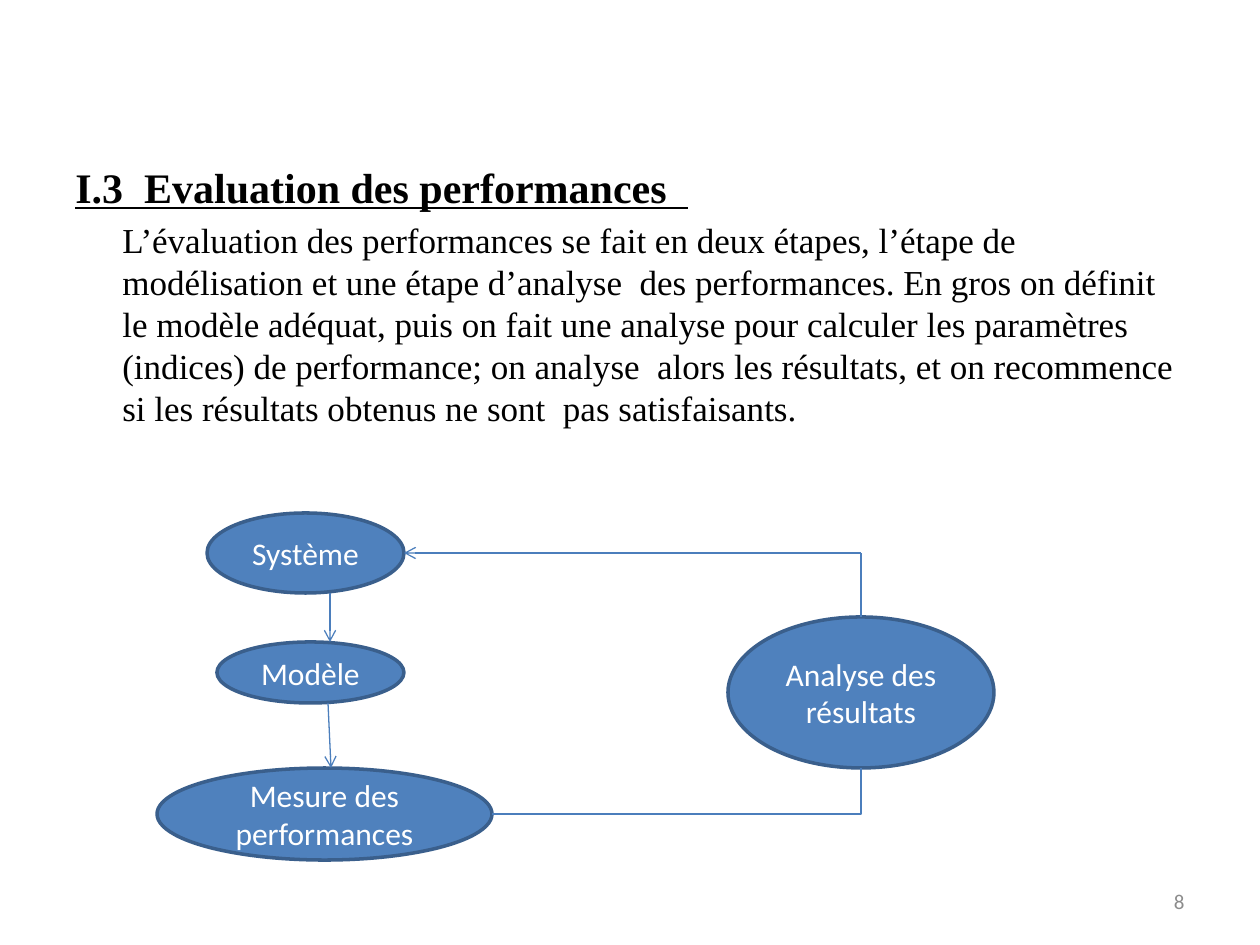
import pptx
import pptx.util
import pptx.dml.color
import pptx.oxml
import pptx.oxml.ns
import pptx.enum.shapes
import pptx.enum.text

PX = 914400 / 126
SHAPE = pptx.enum.shapes.MSO_SHAPE
LINK = pptx.enum.shapes.MSO_CONNECTOR
ALIGN = pptx.enum.text.PP_ALIGN
ANCHOR = pptx.enum.text.MSO_ANCHOR

SERIF, SANS = "Times New Roman", "Calibri"
FILL, EDGE, LINE = "4F81BD", "3A5F8C", "4B7EBC"

HEAD = "I.3  Evaluation des performances  "
BODY = (
    "L’évaluation des performances se fait en deux étapes, l’étape de "
    "modélisation et une étape d’analyse  des performances. En gros on définit "
    "le modèle adéquat, puis on fait une analyse pour calculer les paramètres "
    "(indices) de performance; on analyse  alors les résultats, et on recommence "
    "si les résultats obtenus ne sont  pas satisfaisants."
)

# text, left, top, width, height
STEPS = [
    ("Système", 207, 513, 197, 80),
    ("Modèle", 217, 642, 187, 61),
    ("Mesure des performances", 157, 768, 335, 92),
    ("Analyse des résultats", 728, 617, 266, 151),
]

# kind, from, to, arrow at the end
LINKS = [
    ("line", (330, 593), (330, 642), True),
    ("line", (328, 703), (331, 768), True),
    ("bentConnector2", (492, 814), (861, 768), False),
    ("line", (861, 617), (861, 553), False),
    ("line", (861, 553), (404, 553), True),
]


def emu(*px):
    return [round(n * PX) for n in px]


def rgb(code):
    return pptx.dml.color.RGBColor.from_string(code)


def write(para, text, size, font, color="000000", bold=False, under=False,
          align=ALIGN.LEFT, before=0, pitch=None, indent=0):
    run = para.add_run()
    run.text = text
    run.font.size = pptx.util.Pt(size)
    run.font.name = font
    run.font.color.rgb = rgb(color)
    run.font.bold = bold
    run.font.underline = under
    para.alignment = align
    para.space_before = pptx.util.Pt(before)
    if pitch:
        para.line_spacing = pptx.util.Pt(pitch)
    if indent:
        props = para._p.get_or_add_pPr()
        props.set("marL", str(emu(indent)[0]))
        props.set("indent", "0")


def add_box(slide, *box):
    frame = slide.shapes.add_textbox(*emu(*box)).text_frame
    frame.word_wrap = True
    return frame


def add_step(slide, text, *box):
    oval = slide.shapes.add_shape(SHAPE.OVAL, *emu(*box))
    oval.shadow.inherit = False
    oval.fill.solid()
    oval.fill.fore_color.rgb = rgb(FILL)
    oval.line.color.rgb = rgb(EDGE)
    oval.line.width = pptx.util.Pt(2)
    frame = oval.text_frame
    frame.word_wrap = True
    frame.vertical_anchor = ANCHOR.MIDDLE
    write(frame.paragraphs[0], text, 18, SANS, "FFFFFF", align=ALIGN.CENTER)


def add_link(slide, kind, start, end, arrow):
    link = slide.shapes.add_connector(LINK.STRAIGHT, *emu(*start, *end))
    link.line.color.rgb = rgb(LINE)
    link.line.width = pptx.util.Pt(0.75)
    props = link._element.spPr
    props.find(pptx.oxml.ns.qn("a:prstGeom")).set("prst", kind)
    space = pptx.oxml.ns.nsdecls("a")
    if arrow:
        tail = pptx.oxml.parse_xml(f'<a:tailEnd {space} type="arrow"/>')
        link.line._get_or_add_ln().append(tail)
    props.append(pptx.oxml.parse_xml(f"<a:effectLst {space}/>"))


def main():
    deck = pptx.Presentation()
    deck.slide_width, deck.slide_height = emu(1260, 945)
    slide = deck.slides.add_slide(deck.slide_layouts[6])

    frame = add_box(slide, 63, 155, 1134, 689)
    write(frame.paragraphs[0], HEAD, 24, SERIF, bold=True, under=True, before=4.8)
    write(frame.add_paragraph(), BODY, 20, SERIF, before=4, pitch=24, indent=47)

    for step in STEPS:
        add_step(slide, *step)
    for link in LINKS:
        add_link(slide, *link)

    frame = add_box(slide, 903, 876, 294, 50)
    frame.vertical_anchor = ANCHOR.MIDDLE
    write(frame.paragraphs[0], "8", 12, SANS, "8C8C8C", align=ALIGN.RIGHT)

    deck.save("out.pptx")


if __name__ == "__main__":
    main()
